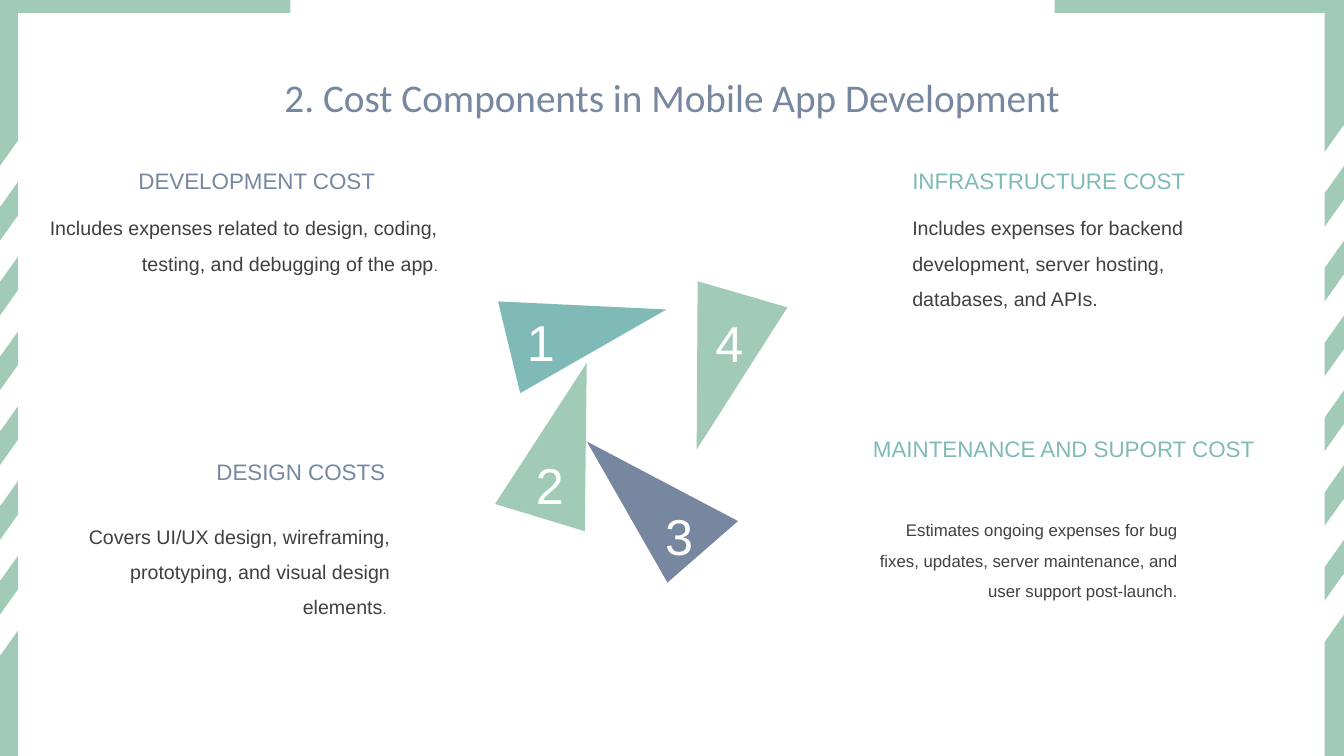
from dataclasses import dataclass

from pptx import Presentation
from pptx.dml.color import RGBColor
from pptx.enum.shapes import MSO_SHAPE
from pptx.enum.text import MSO_ANCHOR, MSO_AUTO_SIZE, PP_ALIGN
from pptx.oxml.ns import qn
from pptx.util import Inches, Pt


@dataclass(frozen=True)
class Theme:
    """Colours, fonts and type sizes of the slide."""
    mint: str = "A1CBB7"
    teal: str = "7FBAB6"
    slate: str = "7787A0"
    ink: str = "404040"
    white: str = "FFFFFF"
    sans: str = "Arial"
    display: str = "Calibri"
    title: int = 28
    digit: int = 36
    head: int = 16
    body: int = 14
    small: int = 12
    tail: int = 10


@dataclass(frozen=True)
class Panel:
    """A cost item: its box, and head and body boxes relative to it."""
    box: tuple
    label: str
    head: tuple
    text: str
    body: tuple
    tail: str = ""
    color: str = Theme.slate
    align: PP_ALIGN = PP_ALIGN.RIGHT
    start: PP_ALIGN = PP_ALIGN.RIGHT
    size: int = Theme.body
    wrap: bool = False


THEME = Theme()
WIDE, HIGH = 13.33, 7.5

PANELS = [
    Panel((0.29, 1.61), "DEVELOPMENT COST", (0.98, 0, 2.55, 0.37),
          "Includes expenses related to design, coding, testing, and debugging of the app",
          (0, 0.37, 4.15, 0.81), tail="."),
    Panel((0.77, 4.5), "DESIGN COSTS", (1.27, 0, 1.88, 0.37),
          "Covers UI/UX design, wireframing, prototyping, and visual design elements",
          (0, 0.54, 3.2, 1.16), tail=". "),
    Panel((8.95, 1.61), "INFRASTRUCTURE COST", (0, 0, 3.17, 0.37),
          "Includes expenses for backend development, server hosting, databases, and APIs.",
          (0, 0.37, 3.69, 1.16), color=THEME.teal, align=PP_ALIGN.LEFT,
          start=PP_ALIGN.LEFT, wrap=True),
    Panel((8.56, 4.27), "MAINTENANCE AND SUPORT COST", (0, 0, 3.99, 0.37),
          "Estimates ongoing expenses for bug fixes, updates, server maintenance, "
          "and user support post-launch.",
          (0.02, 0.74, 3.2, 1.07), color=THEME.teal, start=PP_ALIGN.LEFT,
          size=THEME.small),
]

BLADES = [
    ("3", THEME.slate, [(2.41, 2.38), (1.71, 2.99), (0.91, 1.59)], (1.41, 2.17)),
    ("2", THEME.mint, [(0.89, 2.48), (0, 2.21), (0.91, 0.81)], (0.13, 1.67)),
    ("1", THEME.teal, [(0.25, 1.11), (0.03, 0.2), (1.7, 0.28)], (0.04, 0.25)),
    ("4", THEME.mint, [(2.01, 0), (2.9, 0.26), (2, 1.67)], (1.91, 0.26)),
]


def rgb(color):
    """Turn a hex string into a colour."""
    return RGBColor.from_string(color)


def put(shape, box):
    """Place a shape in a box given in inches."""
    shape.left, shape.top, shape.width, shape.height = map(Inches, box)


def paint(shape, color, line=None):
    """Give a shape a flat fill and an optional line of one point."""
    shape.shadow.inherit = False
    shape.fill.solid()
    shape.fill.fore_color.rgb = rgb(color)
    if line:
        shape.line.color.rgb = rgb(line)
        shape.line.width = Pt(1)
    else:
        shape.line.fill.background()


def write(shape, text, size, color, font=THEME.sans, align=PP_ALIGN.LEFT,
          wrap=True, space=None, tail="", anchor=MSO_ANCHOR.TOP):
    """Write one paragraph into a shape, with an optional smaller tail."""
    frame = shape.text_frame
    frame.word_wrap = wrap
    frame.auto_size = MSO_AUTO_SIZE.NONE
    frame.vertical_anchor = anchor
    para = frame.paragraphs[0]
    para.alignment = align
    if space:
        para.line_spacing = space
    for words, points in ((text, size), (tail, THEME.tail)):
        if words:
            run = para.add_run()
            run.text = words
            run.font.size = Pt(points)
            run.font.name = font
            run.font.color.rgb = rgb(color)


def label(slide, box, text, size, color, **style):
    """Add a text box."""
    write(slide.shapes.add_textbox(*map(Inches, box)), text, size, color, **style)


def frame(slide, box):
    """Draw the green border with its open top and striped sides."""
    left, top, wide, high = box
    sheets = [
        (box, THEME.mint),
        ((left + 2.88, top, wide - 5.75, high), THEME.white),
        ((left + 0.18, top + 0.13, wide - 0.37, high - 0.13), THEME.white),
    ]
    for place, color in sheets:
        paint(slide.shapes.add_shape(MSO_SHAPE.RECTANGLE, *map(Inches, place)), color)
    for side in (left - 0.25, left + wide - 0.54):
        for row in range(7):
            place = (side, top + 1.5 + row * 0.742, 0.79, 0.29)
            stripe = slide.shapes.add_shape(MSO_SHAPE.PARALLELOGRAM, *map(Inches, place))
            stripe.adjustments[0] = 1.41
            stripe.rotation = 270
            stripe.element.spPr.find(qn("a:xfrm")).set("flipH", "1")
            paint(stripe, THEME.white, line=THEME.white)


def mill(slide, box):
    """Draw the four numbered blades."""
    left, top = box
    for digit, color, points, spot in BLADES:
        ends = [(Inches(left + x), Inches(top + y)) for x, y in points]
        pen = slide.shapes.build_freeform(*ends[0])
        pen.add_line_segments(ends[1:], close=True)
        paint(pen.convert_to_shape(), color)
    for digit, color, points, (x, y) in BLADES:
        label(slide, (left + x, top + y, 0.83, 0.71), digit, THEME.digit,
              THEME.white, align=PP_ALIGN.CENTER)


def cost(slide, panel):
    """Write the heading and body of one cost item."""
    left, top = panel.box

    def shift(part):
        """Move a part to the panel's origin."""
        x, y, wide, high = part
        return left + x, top + y, wide, high

    label(slide, shift(panel.head), panel.label, THEME.head, panel.color,
          align=panel.start, wrap=panel.wrap)
    label(slide, shift(panel.body), panel.text, panel.size, THEME.ink,
          align=panel.align, space=1.5, tail=panel.tail)


def head(slide, box, text):
    """Format the title placeholder and bring it to the front."""
    title = slide.shapes.title
    put(title, box)
    write(title, text, THEME.title, THEME.slate, font=THEME.display,
          align=PP_ALIGN.CENTER, anchor=MSO_ANCHOR.MIDDLE)
    title.element.getparent().append(title.element)


def main():
    """Build and save the slide."""
    deck = Presentation()
    deck.slide_width, deck.slide_height = Inches(WIDE), Inches(HIGH)
    slide = deck.slides.add_slide(deck.slide_layouts[5])
    frame(slide, (0, 0, WIDE, HIGH))
    mill(slide, (4.91, 2.79))
    for panel in PANELS:
        cost(slide, panel)
    head(slide, (0.18, 0.68, 12.97, 0.57), "2. Cost Components in Mobile App Development")
    deck.save("out.pptx")


if __name__ == "__main__":
    main()
